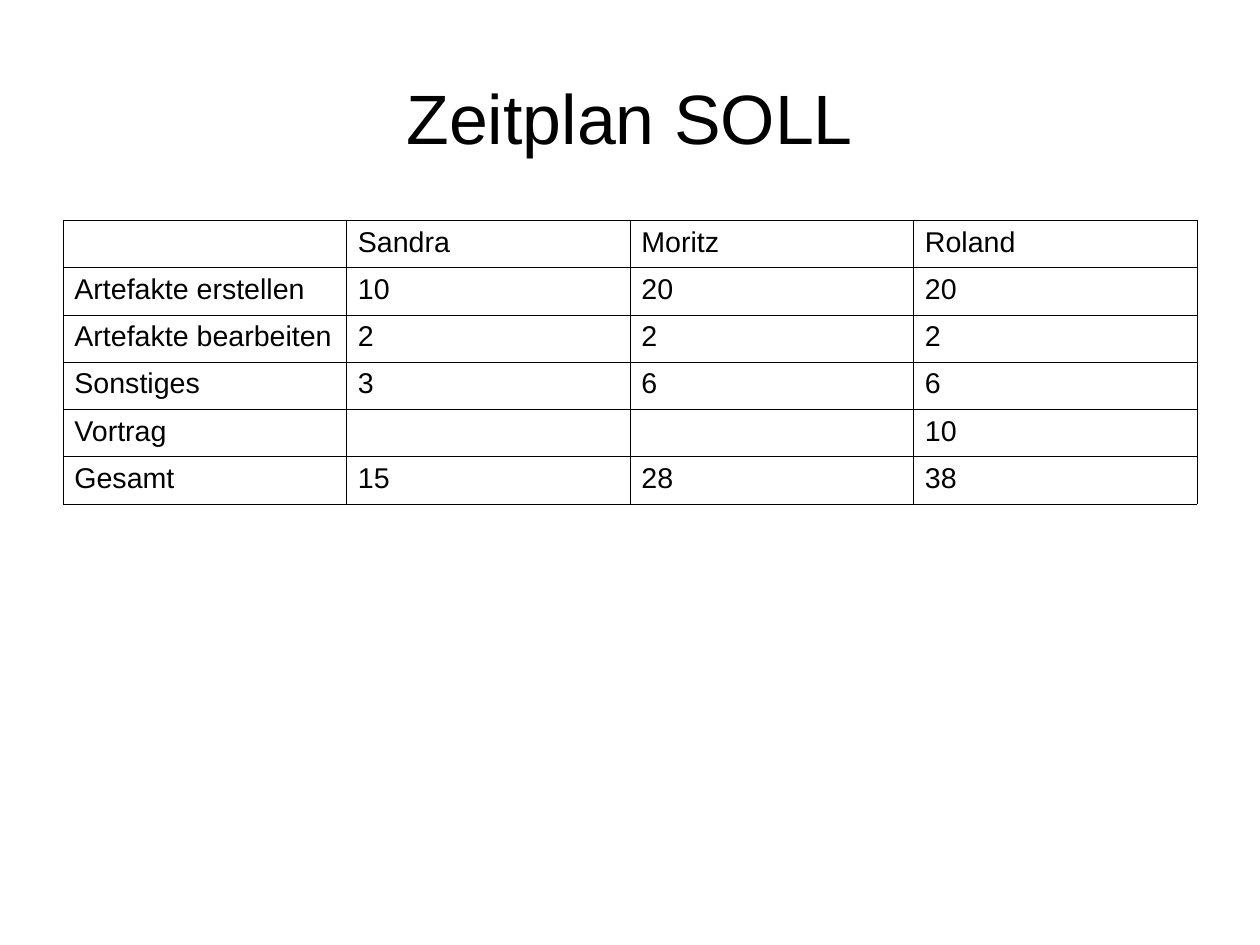
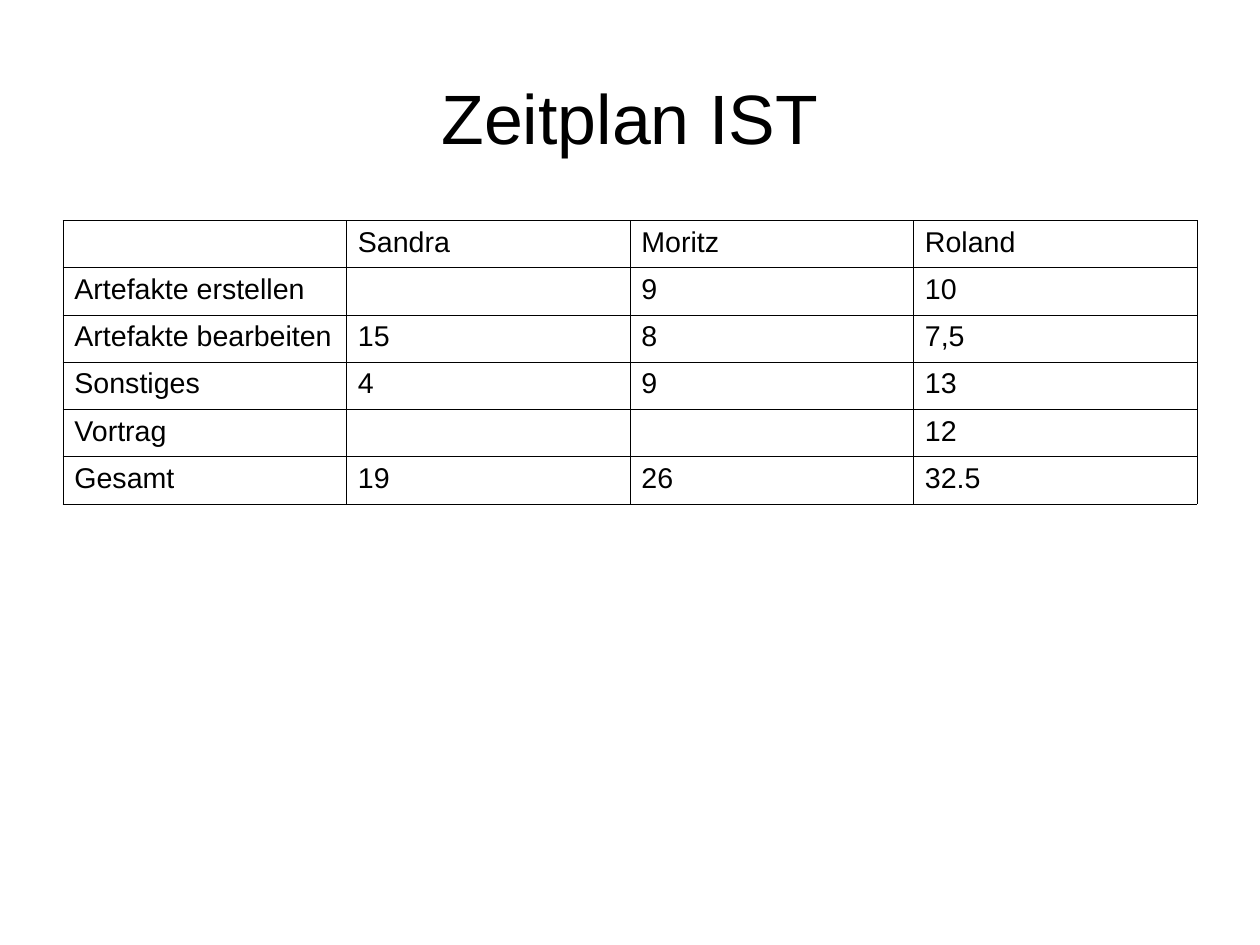
import pptx
import pptx.util
import pptx.dml.color
import pptx.enum.text
import pptx.oxml
import pptx.oxml.ns

Cm, Pt = pptx.util.Cm, pptx.util.Pt

BLACK = pptx.dml.color.RGBColor(0x00, 0x00, 0x00)
FONT = "Arial"
GRID_WIDTH = Pt(0.57)

# Boxes: left, top, width, height in cm
TITLE_BOX = (1.4, 0.84, 25.2, 3.5)
SCHEDULE_BOX = (1.4, 4.9, 25.2, 6.3)

PEOPLE = ["", "Sandra", "Moritz", "Roland"]
TASKS = ["Artefakte erstellen", "Artefakte bearbeiten", "Sonstiges", "Vortrag", "Gesamt"]
SCHEDULES = {
    "Zeitplan SOLL": [
        ["10", "20", "20"],
        ["2", "2", "2"],
        ["3", "6", "6"],
        ["", "", "10"],
        ["15", "28", "38"],
    ],
    "Zeitplan IST": [
        ["", "9", "10"],
        ["15", "8", "7,5"],
        ["4", "9", "13"],
        ["", "", "12"],
        ["19", "26", "32.5"],
    ],
}


def style_font(font, size):
    font.name = FONT
    font.size = Pt(size)
    font.color.rgb = BLACK


def add_title(slide, text, box):
    title = slide.shapes.title
    title.left, title.top, title.width, title.height = map(Cm, box)
    frame = title.text_frame
    frame.text = text
    frame.margin_left = frame.margin_right = frame.margin_top = frame.margin_bottom = 0
    frame.vertical_anchor = pptx.enum.text.MSO_ANCHOR.MIDDLE
    paragraph = frame.paragraphs[0]
    paragraph.alignment = pptx.enum.text.PP_ALIGN.CENTER
    style_font(paragraph.runs[0].font, 44)


def add_borders(cell):
    # Border lines come before the fill inside the cell properties
    properties = cell._tc.get_or_add_tcPr()
    for position, side in enumerate(("lnL", "lnR", "lnT", "lnB")):
        properties.insert(position, pptx.oxml.parse_xml(
            f'<a:{side} {pptx.oxml.ns.nsdecls("a")} w="{int(GRID_WIDTH)}">'
            f'<a:solidFill><a:srgbClr val="{BLACK}"/></a:solidFill></a:{side}>'))


def add_schedule(slide, hours, box):
    rows = [PEOPLE] + [[task] + values for task, values in zip(TASKS, hours)]
    left, top, width, height = box
    schedule = slide.shapes.add_table(
        len(rows), len(PEOPLE), Cm(left), Cm(top), Cm(width), Cm(height)).table
    schedule.first_row = schedule.horz_banding = False
    for row, entries in enumerate(rows):
        for column, entry in enumerate(entries):
            cell = schedule.cell(row, column)
            cell.fill.background()
            add_borders(cell)
            cell.text_frame.text = entry
            style_font(cell.text_frame.paragraphs[0].font, 18)
            for run in cell.text_frame.paragraphs[0].runs:
                style_font(run.font, 18)


def add_schedule_slide(deck, title, hours):
    slide = deck.slides.add_slide(deck.slide_layouts.get_by_name("Title Only"))
    add_title(slide, title, TITLE_BOX)
    add_schedule(slide, hours, SCHEDULE_BOX)


def main():
    deck = pptx.Presentation()
    deck.slide_width, deck.slide_height = Cm(28), Cm(21)
    for title, hours in SCHEDULES.items():
        add_schedule_slide(deck, title, hours)
    deck.save("out.pptx")


if __name__ == "__main__":
    main()
